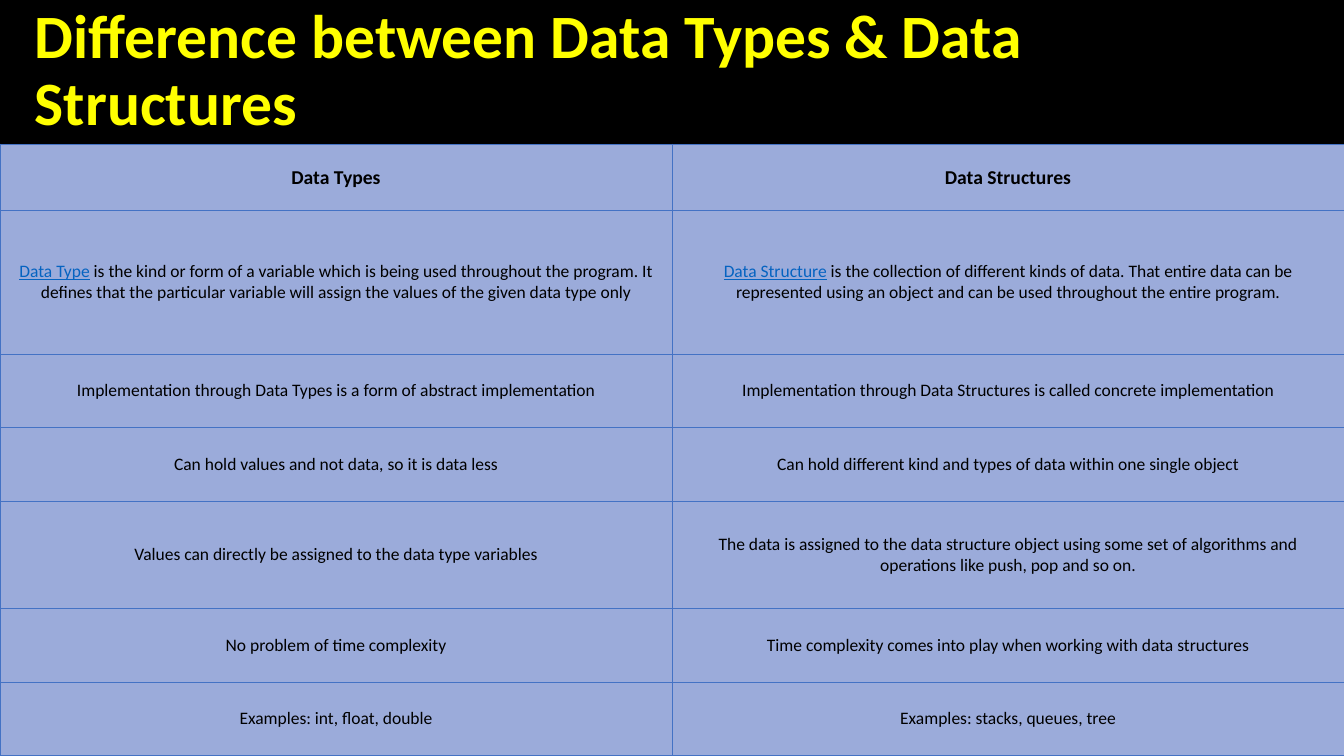
from pptx import Presentation
from pptx.dml.color import RGBColor
from pptx.enum.text import MSO_ANCHOR, PP_ALIGN
from pptx.oxml import parse_xml
from pptx.oxml.ns import nsdecls
from pptx.util import Cm, Pt

BLACK = RGBColor(0x00, 0x00, 0x00)
YELLOW = RGBColor(0xFF, 0xFF, 0x00)
PERI = RGBColor(0x9B, 0xAB, 0xDA)
BLUE = RGBColor(0x44, 0x72, 0xC4)
LINK = RGBColor(0x05, 0x63, 0xC1)

WIDE, HIGH = 33.87, 19.05

TITLE = dict(size=Pt(44), bold=True, color=YELLOW)
HEAD = dict(size=Pt(14), bold=True, color=BLACK)
BODY = dict(size=Pt(12.5), bold=False, color=BLACK)
TERM = dict(BODY, color=LINK, underline=True)

# Each row: height in cm, then the runs of its two cells
ROWS = [
    (1.68, [("Data Types", HEAD)], [("Data Structures", HEAD)]),
    (3.61,
     [("Data Type", TERM),
      ("\u00a0is the kind or form of a variable which is being used throughout "
       "the program. It defines that the particular variable will assign the "
       "values of the given data type only", BODY)],
     [("Data Structure", TERM),
      ("\u00a0is the collection of different kinds of data. That entire data can "
       "be represented using an object and can be used throughout the entire "
       "program.", BODY)]),
    (1.85,
     [("Implementation through Data Types is a form of abstract implementation", BODY)],
     [("Implementation through Data Structures is called concrete implementation", BODY)]),
    (1.85,
     [("Can hold values and not data, so it is data less", BODY)],
     [("Can hold different kind and types of data within one single object", BODY)]),
    (2.72,
     [("Values can directly be assigned to the data type variables", BODY)],
     [("The data is assigned to the data structure object using some set of "
       "algorithms and operations like push, pop and so on.", BODY)]),
    (1.85,
     [("No problem of time complexity", BODY)],
     [("Time complexity comes into play when working with data structures", BODY)]),
    (1.85,
     [("Examples: int, float, double", BODY)],
     [("Examples: stacks, queues, tree", BODY)]),
]


class Deck:
    face = "Calibri"

    def __init__(self):
        self.show = Presentation()
        self.show.slide_width, self.show.slide_height = Cm(WIDE), Cm(HIGH)
        self.slide = self.show.slides.add_slide(self.show.slide_layouts[6])

    def ground(self, color):
        fill = self.slide.background.fill
        fill.solid()
        fill.fore_color.rgb = color

    def text(self, para, runs):
        for words, style in runs:
            run = para.add_run()
            run.text = words
            run.font.name = self.face
            for key, value in style.items():
                if key == "color":
                    run.font.color.rgb = value
                else:
                    setattr(run.font, key, value)

    def title(self, words, *box):
        frame = self.slide.shapes.add_textbox(*map(Cm, box)).text_frame
        frame.word_wrap = True
        frame.vertical_anchor = MSO_ANCHOR.MIDDLE
        para = frame.paragraphs[0]
        para.line_spacing = 0.9
        self.text(para, [(words, TITLE)])

    def border(self, cell, color, width):
        props = cell._tc.get_or_add_tcPr()
        for side in "LRTB":
            props.append(parse_xml(
                f'<a:ln{side} {nsdecls("a")} w="{Pt(width)}"><a:solidFill>'
                f'<a:srgbClr val="{color}"/></a:solidFill></a:ln{side}>'))

    def cell(self, cell, runs, pad):
        self.border(cell, BLUE, 0.5)
        cell.fill.solid()
        cell.fill.fore_color.rgb = PERI
        style = dict(vertical_anchor=MSO_ANCHOR.MIDDLE,
                     margin_left=Cm(0.2), margin_right=Cm(0.2),
                     margin_top=Cm(pad), margin_bottom=Cm(pad))
        for key, value in style.items():
            setattr(cell, key, value)
        para = cell.text_frame.paragraphs[0]
        para.alignment = PP_ALIGN.CENTER
        self.text(para, runs)

    def table(self, rows, top):
        tall = sum(row[0] for row in rows)
        grid = self.slide.shapes.add_table(
            len(rows), 2, Cm(0), Cm(top), Cm(WIDE), Cm(tall)).table
        grid.first_row = grid.horz_banding = False
        for i, (high, *cells) in enumerate(rows):
            grid.rows[i].height = Cm(high)
            for j, runs in enumerate(cells):
                self.cell(grid.cell(i, j), runs, 0.3 if i else 0.2)


deck = Deck()
deck.ground(BLACK)

# Heading
deck.title("Difference between Data Types & Data Structures", 0.63, 0, 32.08, 3.63)

# Comparison table
deck.table(ROWS, 3.63)

deck.show.save("out.pptx")
